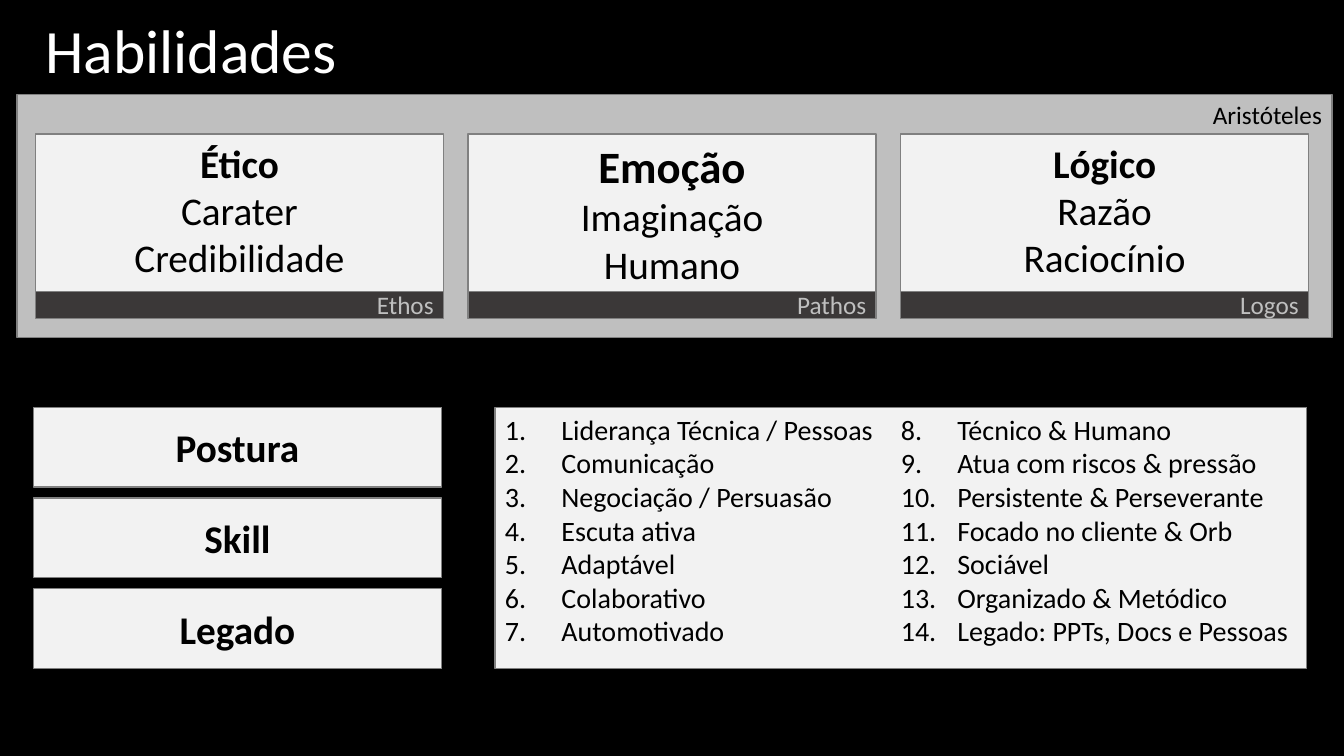
from dataclasses import dataclass

from pptx import Presentation
from pptx.dml.color import RGBColor
from pptx.enum.shapes import MSO_SHAPE
from pptx.enum.text import MSO_ANCHOR, PP_ALIGN
from pptx.oxml.ns import qn
from pptx.oxml.xmlchemy import OxmlElement
from pptx.shapes.autoshape import Shape
from pptx.slide import Slide
from pptx.util import Inches, Pt

RECTANGLE = MSO_SHAPE.RECTANGLE
TOP, MIDDLE = MSO_ANCHOR.TOP, MSO_ANCHOR.MIDDLE
LEFT, CENTER, RIGHT = PP_ALIGN.LEFT, PP_ALIGN.CENTER, PP_ALIGN.RIGHT
JUSTIFY = PP_ALIGN.JUSTIFY

BLACK = RGBColor(0x00, 0x00, 0x00)
WHITE = RGBColor(0xFF, 0xFF, 0xFF)
SILVER = RGBColor(0xBF, 0xBF, 0xBF)
PALE = RGBColor(0xF2, 0xF2, 0xF2)
CHARCOAL = RGBColor(0x3B, 0x38, 0x38)
BORDER = RGBColor(0x80, 0x80, 0x80)

FONT = "Calibri"
CARD_WIDTH = 4.05
CARD_LEFT, CARD_STEP = 0.35, 4.29
PILLAR_TOP, PILLAR_STEP = 4.04, 0.9


@dataclass(frozen=True)
class Line:
    text: str
    size: int
    bold: bool = False
    color: RGBColor = BLACK
    align: PP_ALIGN = CENTER


@dataclass(frozen=True)
class Appeal:
    """One of Aristotle's three modes of persuasion."""
    heading: str
    heading_size: int
    traits: tuple[str, str]
    greek_name: str


APPEALS = (
    Appeal("Ético", 28, ("Carater", "Credibilidade"), "Ethos"),
    Appeal("Emoção", 32, ("Imaginação", "Humano"), "Pathos"),
    Appeal("Lógico", 28, ("Razão", "Raciocínio"), "Logos"),
)
PILLARS = ("Postura", "Skill", "Legado")
SKILLS = (
    "Liderança Técnica / Pessoas",
    "Comunicação",
    "Negociação / Persuasão",
    "Escuta ativa",
    "Adaptável",
    "Colaborativo",
    "Automotivado",
    "Técnico & Humano",
    "Atua com riscos & pressão",
    "Persistente & Perseverante",
    "Focado no cliente & Orb",
    "Sociável",
    "Organizado & Metódico",
    "Legado: PPTs, Docs e Pessoas",
)


def write_lines(box: Shape, lines: list[Line], anchor: MSO_ANCHOR) -> None:
    frame = box.text_frame
    frame.word_wrap = True
    frame.vertical_anchor = anchor
    for index, line in enumerate(lines):
        para = frame.paragraphs[0] if index == 0 else frame.add_paragraph()
        para.text = line.text
        para.alignment = line.align
        para.font.name = FONT
        para.font.size = Pt(line.size)
        para.font.bold = line.bold
        para.font.color.rgb = line.color


def add_panel(page: Slide, left: float, top: float, width: float, height: float,
              fill: RGBColor, lines: list[Line], anchor: MSO_ANCHOR = TOP) -> Shape:
    panel = page.shapes.add_shape(
        RECTANGLE, Inches(left), Inches(top), Inches(width), Inches(height))
    panel.shadow.inherit = False
    panel.fill.solid()
    panel.fill.fore_color.rgb = fill
    panel.line.color.rgb = BORDER
    panel.line.width = Pt(1)
    write_lines(panel, lines, anchor)
    return panel


def number_in_two_columns(panel: Shape) -> None:
    panel.element.find(".//" + qn("a:bodyPr")).set("numCol", "2")
    indent = Inches(0.56)
    for properties in panel.element.iter(qn("a:pPr")):
        properties.set("marL", str(indent))
        properties.set("indent", str(-indent))
        numbering = OxmlElement("a:buAutoNum")
        numbering.set("type", "arabicPeriod")
        properties.insert_element_before(numbering, "a:tabLst", "a:defRPr", "a:extLst")


def add_title(page: Slide) -> None:
    title = page.shapes.add_textbox(
        Inches(0.35), Inches(0.04), Inches(11.5), Inches(0.98))
    write_lines(title, [Line("Habilidades", 44, color=WHITE, align=LEFT)], MIDDLE)
    title.text_frame.paragraphs[0].line_spacing = 0.9


def add_appeal(page: Slide, left: float, appeal: Appeal) -> None:
    lines = [Line(appeal.heading, appeal.heading_size, bold=True)]
    lines += [Line(trait, 28) for trait in appeal.traits]
    add_panel(page, left, 1.33, CARD_WIDTH, 1.57, PALE, lines)
    name = Line(appeal.greek_name, 18, color=SILVER, align=RIGHT)
    add_panel(page, left, 2.89, CARD_WIDTH, 0.27, CHARCOAL, [name], MIDDLE)


def main() -> None:
    deck = Presentation()
    deck.slide_width, deck.slide_height = Inches(13.33), Inches(7.5)
    page = deck.slides.add_slide(deck.slide_layouts[6])
    page.background.fill.solid()
    page.background.fill.fore_color.rgb = BLACK

    add_panel(page, 0.17, 0.94, 13.04, 2.41, SILVER,
              [Line("Aristóteles", 18, align=RIGHT)])
    skills = add_panel(page, 4.91, PILLAR_TOP, 8.05, 2.59, PALE,
                       [Line(skill, 20, align=JUSTIFY) for skill in SKILLS])
    number_in_two_columns(skills)
    add_title(page)
    for index, appeal in enumerate(APPEALS):
        add_appeal(page, CARD_LEFT + index * CARD_STEP, appeal)
    for index, pillar in enumerate(PILLARS):
        add_panel(page, 0.33, PILLAR_TOP + index * PILLAR_STEP, CARD_WIDTH, 0.79,
                  PALE, [Line(pillar, 28, bold=True)], MIDDLE)
    deck.save("out.pptx")


if __name__ == "__main__":
    main()
